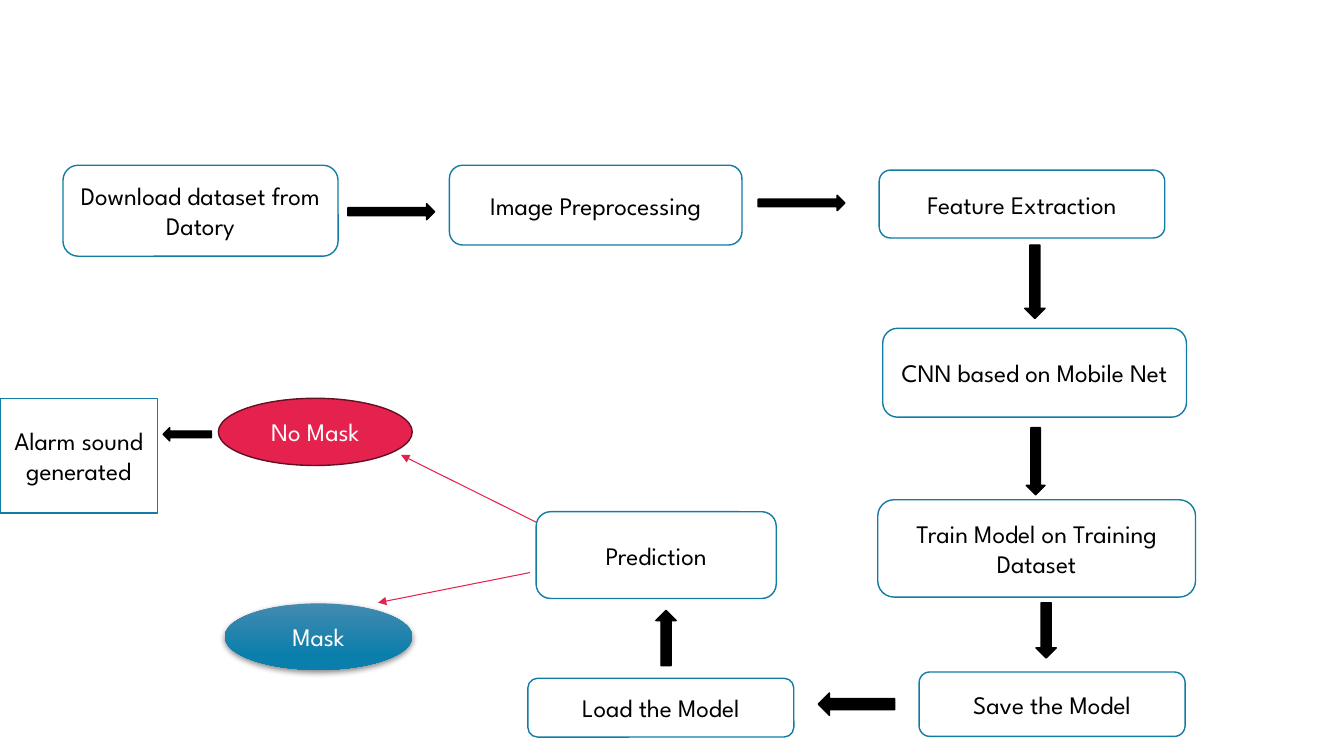
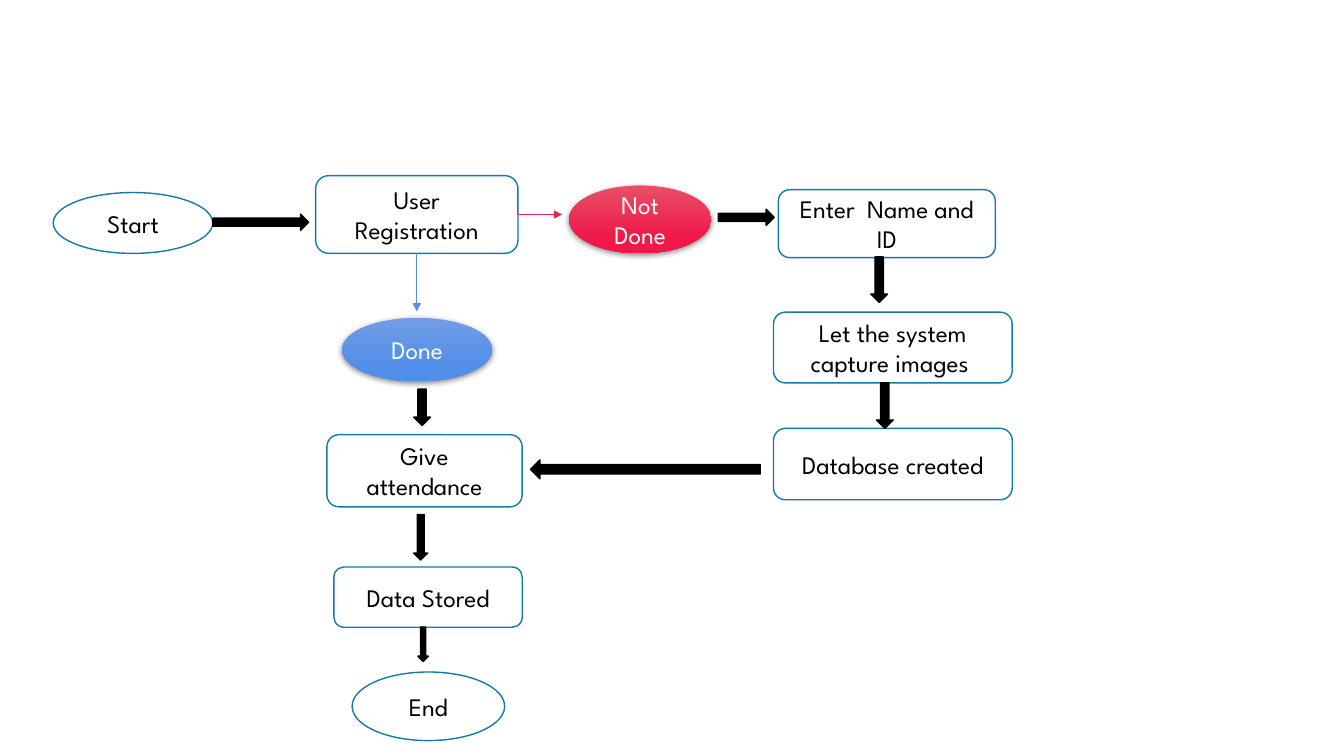
from dataclasses import dataclass
from typing import Any

from lxml.etree import SubElement
from pptx import Presentation
from pptx.dml.color import RGBColor
from pptx.enum.shapes import MSO_CONNECTOR, MSO_SHAPE
from pptx.enum.text import MSO_ANCHOR, PP_ALIGN
from pptx.oxml.ns import qn
from pptx.util import Pt

# Shared style
FONT = "League Spartan"
TEXT_SIZE = 18
WHITE, BLACK = "FFFFFF", "000000"
OUTLINE = "127CA4"
RED, DARK_RED, BLUE = "E5224E", "640F22", "588FE2"
TEAL_GRADIENT = ("438AB0", "0B7FAB")
BLUE_GRADIENT = ("729DE5", "518EE9")
RED_GRADIENT = ("E84F68", "EF1849")
ARROWS = {
    "right": MSO_SHAPE.RIGHT_ARROW,
    "left": MSO_SHAPE.LEFT_ARROW,
    "up": MSO_SHAPE.UP_ARROW,
    "down": MSO_SHAPE.DOWN_ARROW,
}


def color(hex_text):
    return RGBColor.from_string(hex_text)


def paint_solid(shape, fill, line):
    shape.fill.solid()
    shape.fill.fore_color.rgb = color(fill)
    shape.line.color.rgb = color(line)
    shape.line.width = Pt(1)


def paint_gradient(shape, stops):
    shape.fill.gradient()
    shape.fill.gradient_angle = 270
    for stop, position, hex_text in zip(shape.fill.gradient_stops, (0, 0.78), stops):
        stop.position = position
        stop.color.rgb = color(hex_text)
    shape.line.fill.background()


def add_soft_shadow(shape):
    effects = shape.element.spPr.find(qn("a:effectLst"))
    shadow = SubElement(effects, qn("a:outerShdw"), blurRad=str(Pt(4.5)),
                        dist=str(Pt(1.5)), dir="5400000", rotWithShape="0")
    shadow_color = SubElement(shadow, qn("a:srgbClr"), val=BLACK)
    SubElement(shadow_color, qn("a:alpha"), val="48000")


def write_label(shape, text, hex_text):
    frame = shape.text_frame
    frame.word_wrap = True
    frame.vertical_anchor = MSO_ANCHOR.MIDDLE
    paragraph = frame.paragraphs[0]
    paragraph.alignment = PP_ALIGN.CENTER
    run = paragraph.add_run()
    run.text = text
    run.font.name = FONT
    run.font.size = Pt(TEXT_SIZE)
    run.font.color.rgb = color(hex_text)


@dataclass
class Region:
    """Part of a slide; its shapes are placed from its top left corner."""
    slide: Any
    left: float
    top: float

    def shape(self, kind, x, y, width, height):
        shape = self.slide.shapes.add_shape(
            kind, Pt(self.left + x), Pt(self.top + y), Pt(width), Pt(height))
        shape.shadow.inherit = False
        return shape

    def step(self, text, *box, kind=MSO_SHAPE.ROUNDED_RECTANGLE):
        shape = self.shape(kind, *box)
        paint_solid(shape, WHITE, OUTLINE)
        write_label(shape, text, BLACK)
        return shape

    def terminal(self, text, *box):
        return self.step(text, *box, kind=MSO_SHAPE.OVAL)

    def outcome(self, text, *box, gradient):
        shape = self.shape(MSO_SHAPE.OVAL, *box)
        paint_gradient(shape, gradient)
        add_soft_shadow(shape)
        write_label(shape, text, WHITE)

    def arrow(self, direction, *box):
        paint_solid(self.shape(ARROWS[direction], *box), BLACK, BLACK)

    def branch(self, start, end, hex_text, source=None, side=None):
        points = [Pt(base + offset) for point in (start, end)
                  for base, offset in zip((self.left, self.top), point)]
        connector = self.slide.shapes.add_connector(MSO_CONNECTOR.STRAIGHT, *points)
        if source is not None:
            connector.begin_connect(source, side)
        connector.line.color.rgb = color(hex_text)
        connector.line.width = Pt(0.75)
        SubElement(connector.line._get_or_add_ln(), qn("a:tailEnd"), type="triangle")
        SubElement(connector.element.spPr, qn("a:effectLst"))


# Slide 1: mask detection
def draw_preparation(region):
    region.step("Download dataset from Datory", 0, 0, 196.5, 65)
    region.arrow("right", 203.5, 27.5, 62, 11.5)
    region.step("Image Preprocessing", 276, 0, 209, 57)
    region.arrow("right", 496.5, 21.5, 62, 11)
    region.step("Feature Extraction", 583, 3.5, 204, 48.5)


def draw_training(region):
    region.arrow("down", 105, 0, 14.5, 52.5)
    region.step("CNN based on Mobile Net", 3.5, 59.5, 217, 63.5)
    region.arrow("down", 106, 130.5, 13.5, 48)
    region.step("Train Model on Training Dataset", 0, 182, 227, 69.5)
    region.arrow("down", 113, 255.5, 14.5, 39.5)
    region.step("Save the Model", 29.5, 305, 190, 46)


def draw_prediction(region):
    region.arrow("left", 207.5, 129.5, 54.5, 16)
    region.step("Load the Model", 0, 119, 190, 42)
    region.arrow("up", 91.5, 70.5, 14.5, 39.5)
    region.step("Prediction", 6, 0, 171.5, 62)


def draw_mask_outcomes(region):
    region.outcome("Mask", 160.5, 146.5, 134, 47.5, gradient=TEAL_GRADIENT)
    no_mask = region.shape(MSO_SHAPE.OVAL, 156, 0, 138.5, 48)
    paint_solid(no_mask, RED, DARK_RED)
    write_label(no_mask, "No Mask", WHITE)
    region.branch((383, 88.5), (286.5, 40.5), RED)
    region.branch((378.5, 124.5), (270, 146), RED)
    region.arrow("left", 116.5, 21, 34.5, 9.5)
    region.step("Alarm sound generated", 0, 0, 112.5, 82, kind=MSO_SHAPE.RECTANGLE)


def draw_mask_detection(slide):
    draw_preparation(Region(slide, 45, 118))
    draw_training(Region(slide, 627, 175))
    draw_prediction(Region(slide, 377, 365.5))
    draw_mask_outcomes(Region(slide, 0, 284.5))


# Slide 2: attendance
def draw_registration(region):
    region.terminal("Start", 0, 12, 114, 43.5)
    registration = region.step("User Registration", 187.5, 0, 144.5, 55.5)
    region.outcome("Not Done", 368.5, 7, 101.5, 48.5, gradient=RED_GRADIENT)
    region.outcome("Done", 206.5, 101.5, 107, 45.5, gradient=BLUE_GRADIENT)
    region.branch((332, 27.75), (363.5, 27.75), RED, registration, 3)
    region.branch((259.75, 55.5), (259.75, 97), BLUE, registration, 2)
    region.arrow("right", 114, 27.5, 68.5, 11.5)


def draw_enrolment(region):
    region.step("Enter  Name and ID", 3.5, 0, 155, 48.5)
    region.step("Let the system capture images ", 0, 87.5, 170.5, 50.5)
    region.step("Database created", 0, 170.5, 170.5, 51)
    region.arrow("right", -39.5, 14, 40, 11.5)
    region.arrow("down", 69.5, 48, 12, 32.5)
    region.arrow("down", 73.5, 138, 12, 32.5)
    region.arrow("left", -173.5, 193, 164, 13.5)


def draw_attendance(region):
    region.step("Give attendance", 0, 32.5, 139.5, 51.5)
    region.step("Data Stored", 5, 127, 134.5, 43)
    region.terminal("End", 18, 202, 109, 49)
    region.arrow("down", 62, 0, 12, 26)
    region.arrow("down", 62, 89.5, 10, 32.5)
    region.arrow("down", 65, 170, 7.5, 24.5)


def draw_attendance_flow(slide):
    draw_registration(Region(slide, 38, 125.5))
    draw_enrolment(Region(slide, 552.5, 135.5))
    draw_attendance(Region(slide, 233.5, 278))


def main():
    presentation = Presentation()
    presentation.slide_width, presentation.slide_height = Pt(960), Pt(540)
    blank = presentation.slide_layouts[6]
    for draw in (draw_mask_detection, draw_attendance_flow):
        draw(presentation.slides.add_slide(blank))
    presentation.save("out.pptx")


if __name__ == "__main__":
    main()
